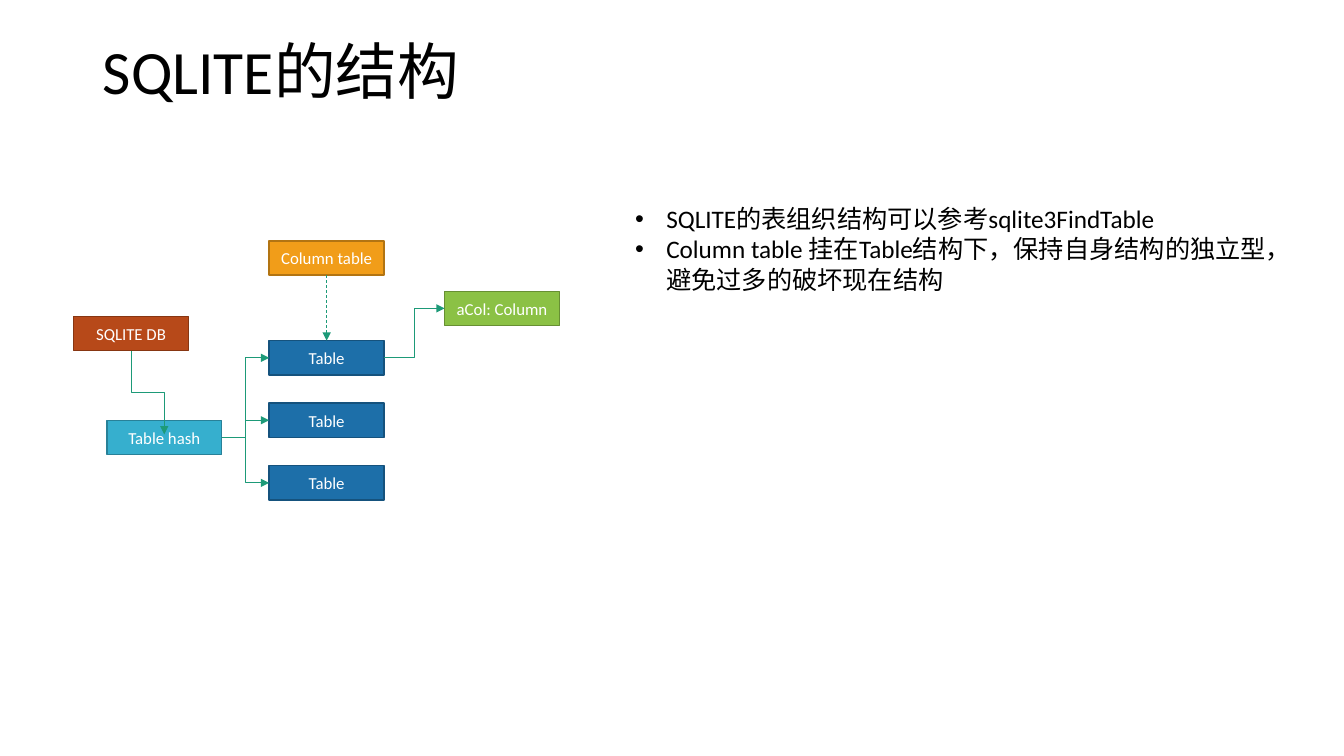
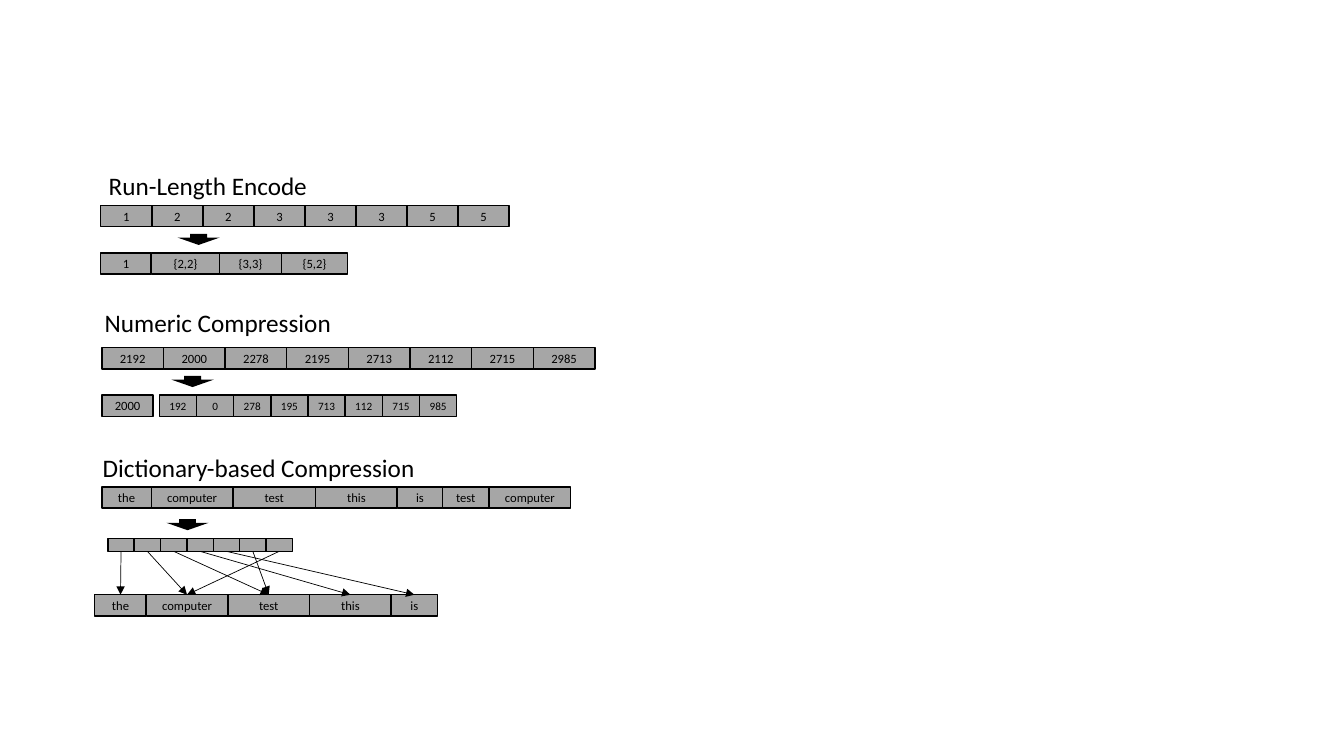
"""Build two slides on SQLITE structure and column compression."""
from pptx import Presentation
from pptx import util as u
from pptx.dml.color import RGBColor
from pptx.enum import dml, shapes, text
from pptx.oxml import ns
from lxml import etree

FONT = "Calibri"
BLACK, WHITE = RGBColor(0, 0, 0), RGBColor(255, 255, 255)
GRAY, GREEN = RGBColor(0xA6, 0xA6, 0xA6), RGBColor(0x1D, 0x9A, 0x78)
TEAL = RGBColor(0x36, 0xAF, 0xCE), RGBColor(0x28, 0x81, 0x98)
RUST = RGBColor(0xB7, 0x49, 0x19), RGBColor(0x87, 0x36, 0x12)
BLUE = RGBColor(0x1D, 0x6F, 0xA9), RGBColor(0x15, 0x52, 0x7D)
ORANGE = RGBColor(0xF1, 0x9D, 0x19), RGBColor(0xB2, 0x74, 0x12)
LIME = RGBColor(0x8B, 0xC1, 0x45), RGBColor(0x67, 0x8F, 0x33)

TITLE = "SQLITE的结构"
BULLETS = ["SQLITE的表组织结构可以参考sqlite3FindTable",
           "Column table 挂在Table结构下，保持自身结构的独立型，避免过多的破坏现在结构"]
NODE_WIDTH, NODE_HEIGHT = 1.14, 0.34
NODES = {
    "hash": ("Table hash", 1.06, 4.17, TEAL),
    "database": ("SQLITE DB", 0.73, 3.14, RUST),
    "column table": ("Column table", 2.67, 2.39, ORANGE),
    "column": ("aCol: Column", 4.41, 2.89, LIME),
    **{f"table {i}": ("Table", 2.67, 3.38 + 0.62 * i, BLUE) for i in range(3)},
}
ELBOWS = [("hash", "table 0"), ("hash", "table 1"), ("hash", "table 2"), ("table 0", "column")]
DATABASE_LINK = (1.3, 3.48, 1.63, 4.31)

HEADINGS = [("Run-Length Encode", 0.98, 1.64, 2.19),
            ("Numeric Compression", 0.94, 3, 2.48),
            ("Dictionary-based Compression", 0.92, 4.44, 3.34)]
DOWN_ARROWS = [(1.76, 2.32), (1.7, 3.73), (1.65, 5.15)]
CELL_HEIGHT, CODE_HEIGHT = 0.21, 0.13
ROWS = [
    ("1 2 2 3 3 3 5 5", 1, 2.04, [4.05 / 8] * 8, 9),
    ("1 {2,2} {3,3} {5,2}", 1, 2.51, [0.5, 0.68, 0.61, 0.66], 9),
    ("2192 2000 2278 2195 2713 2112 2715 2985", 1.01, 3.45, [4.89 / 8] * 8, 9),
    ("2000", 1.01, 3.92, [0.51], 9),
    ("192 0 278 195 713 112 715 985", 1.58, 3.92, [2.95 / 8] * 8, 8),
    ("the computer test this is test computer", 1.01, 4.83,
     [0.49, 0.81, 0.82, 0.81, 0.45, 0.46, 0.81], 9),
]
DICTIONARY = ("the computer test this is", 0.94, 5.9, [0.51, 0.81, 0.81, 0.81, 0.46], 9)
CODES = [0, 1, 2, 3, 4, 2, 1]
CODE_LEFT, CODE_TOP, CODE_WIDTH = 1.07, 5.34, 1.83 / 7


def inches(*lengths):
    return [u.Inches(length) for length in lengths]


def set_font(paragraph, size, color):
    font = paragraph.font
    font.name, font.size, font.color.rgb = FONT, u.Pt(size), color


def add_box(slide, label, place, colors, size, text_color):
    box = slide.shapes.add_shape(shapes.MSO_SHAPE.RECTANGLE, *inches(*place))
    box.shadow.inherit = False
    box.fill.solid()
    box.fill.fore_color.rgb, box.line.color.rgb = colors
    box.line.width = u.Pt(1)
    frame = box.text_frame
    frame.margin_left = frame.margin_right = frame.margin_top = frame.margin_bottom = 0
    frame.word_wrap = False
    frame.vertical_anchor = text.MSO_ANCHOR.MIDDLE
    paragraph = frame.paragraphs[0]
    paragraph.text, paragraph.alignment = label, text.PP_ALIGN.CENTER
    set_font(paragraph, size, text_color)
    return box


def add_arrow(slide, kind, color, points=(0, 0, 0, 0)):
    arrow = slide.shapes.add_connector(kind, *inches(*points))
    arrow.line.color.rgb, arrow.line.width = color, u.Pt(0.5)
    line = arrow.line._get_or_add_ln()
    etree.SubElement(line, ns.qn("a:tailEnd"), type="triangle")
    etree.SubElement(arrow._element.spPr, ns.qn("a:effectLst"))
    return arrow


def join(arrow, start, start_side, end, end_side):
    arrow.begin_connect(start, start_side)
    arrow.end_connect(end, end_side)


def add_vertical_elbow(slide, x1, y1, x2, y2):
    middle_x, middle_y = (x1 + x2) / 2, (y1 + y2) / 2
    half_length, half_shift = (y2 - y1) / 2, (x2 - x1) / 2
    arrow = add_arrow(slide, shapes.MSO_CONNECTOR.ELBOW, GREEN,
                      (middle_x + half_length, middle_y - half_shift,
                       middle_x - half_length, middle_y + half_shift))
    arrow._element.spPr.find(ns.qn("a:xfrm")).set("rot", str(270 * 60000))


def add_text(slide, lines, place, wrap, bulleted=False):
    frame = slide.shapes.add_textbox(*inches(*place)).text_frame
    frame.word_wrap = wrap
    for i, line in enumerate(lines):
        paragraph = frame.add_paragraph() if i else frame.paragraphs[0]
        paragraph.text = line
        if bulleted:
            properties = paragraph._p.get_or_add_pPr()
            indent = u.Inches(0.31)
            properties.set("marL", str(indent))
            properties.set("indent", str(-indent))
            etree.SubElement(properties, ns.qn("a:buFont"), typeface="Arial")
            etree.SubElement(properties, ns.qn("a:buChar"), char="•")
        set_font(paragraph, 18, BLACK)


def add_row(slide, labels, left, top, widths, size):
    cells = []
    for label, width in zip(labels.split(), widths):
        cells.append(add_box(slide, label, (left, top, width, CELL_HEIGHT),
                             (GRAY, BLACK), size, BLACK))
        left += width
    return cells


def build_structure(presentation):
    slide = presentation.slides.add_slide(presentation.slide_layouts[5])
    title = slide.shapes.title
    title.left, title.top, title.width, title.height = inches(0.92, 0.29, 11.5, 0.9)
    frame = title.text_frame
    frame.auto_size, frame.vertical_anchor = text.MSO_AUTO_SIZE.NONE, text.MSO_ANCHOR.MIDDLE
    paragraph = frame.paragraphs[0]
    paragraph.text, paragraph.alignment = TITLE, text.PP_ALIGN.LEFT
    paragraph.line_spacing = 0.9
    set_font(paragraph, 44, BLACK)

    nodes = {key: add_box(slide, label, (left, top, NODE_WIDTH, NODE_HEIGHT), colors, 12, WHITE)
             for key, (label, left, top, colors) in NODES.items()}
    for start, end in ELBOWS:
        join(add_arrow(slide, shapes.MSO_CONNECTOR.ELBOW, GREEN), nodes[start], 3, nodes[end], 1)
    add_vertical_elbow(slide, *DATABASE_LINK)
    dashed = add_arrow(slide, shapes.MSO_CONNECTOR.STRAIGHT, GREEN)
    dashed.line.dash_style = dml.MSO_LINE.DASH
    join(dashed, nodes["column table"], 2, nodes["table 0"], 0)
    add_text(slide, BULLETS, (6.2, 1.97, 6.75, 1.31), True, bulleted=True)


def build_compression(presentation):
    slide = presentation.slides.add_slide(presentation.slide_layouts[6])
    for heading, left, top, width in HEADINGS:
        add_text(slide, [heading], (left, top, width, 0.4), False)
    for row in ROWS:
        add_row(slide, *row)
    for left, top in DOWN_ARROWS:
        arrow = slide.shapes.add_shape(shapes.MSO_SHAPE.DOWN_ARROW, *inches(left, top, 0.42, 0.11))
        arrow.shadow.inherit = False
        arrow.adjustments[0], arrow.adjustments[1] = 0.4, 0.67
        arrow.fill.solid()
        arrow.fill.fore_color.rgb = BLACK
        arrow.line.fill.background()
    words = add_row(slide, *DICTIONARY)
    for i, word in enumerate(CODES):
        place = (CODE_LEFT + i * CODE_WIDTH, CODE_TOP, CODE_WIDTH, CODE_HEIGHT)
        code = add_box(slide, "", place, (GRAY, BLACK), 9, BLACK)
        join(add_arrow(slide, shapes.MSO_CONNECTOR.STRAIGHT, BLACK), code, 2, words[word], 0)


def main():
    presentation = Presentation()
    presentation.slide_width, presentation.slide_height = inches(13.33, 7.5)
    build_structure(presentation)
    build_compression(presentation)
    presentation.save("out.pptx")


if __name__ == "__main__":
    main()
